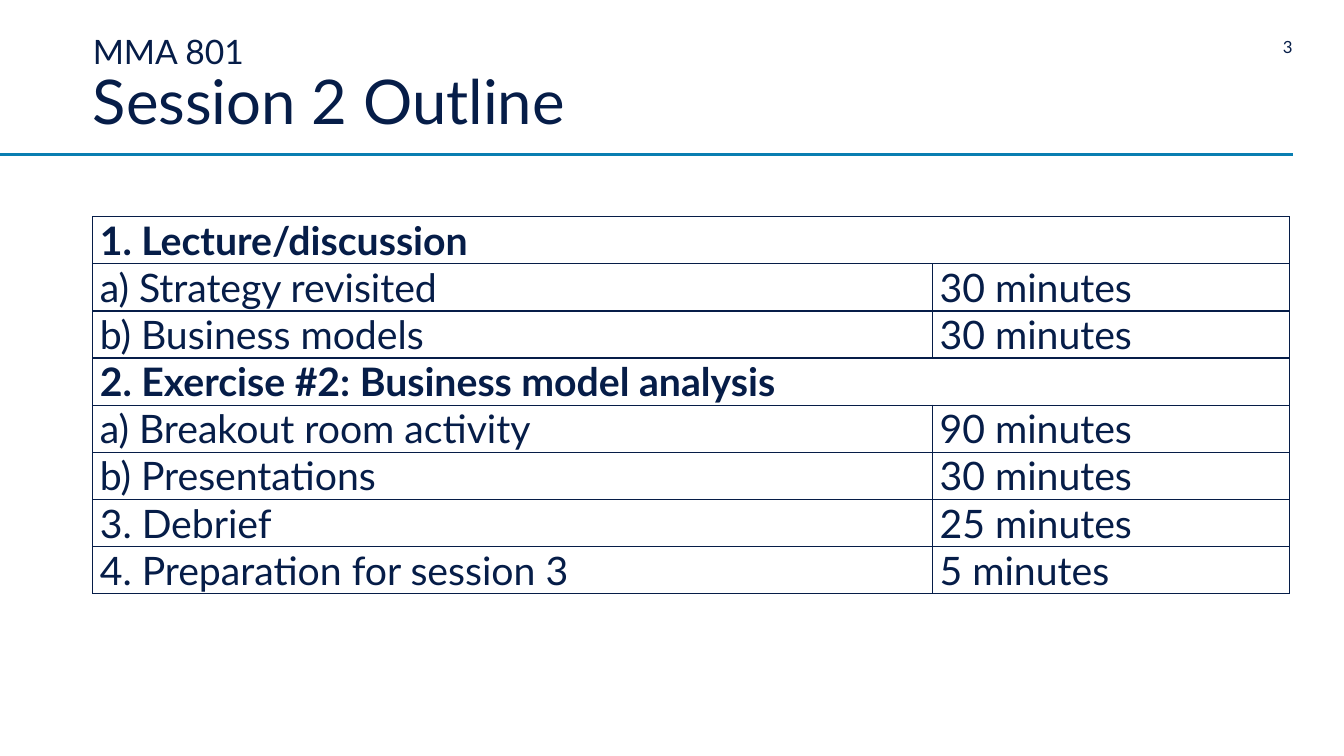
from dataclasses import dataclass

from lxml import etree
from pptx import Presentation
from pptx.dml.color import RGBColor
from pptx.enum.shapes import MSO_CONNECTOR
from pptx.enum.text import MSO_ANCHOR, MSO_AUTO_SIZE, PP_ALIGN
from pptx.oxml.ns import qn
from pptx.util import Inches, Pt

STRAIGHT = MSO_CONNECTOR.STRAIGHT
BOTTOM = MSO_ANCHOR.BOTTOM
NO_AUTOFIT = MSO_AUTO_SIZE.NONE
RIGHT = PP_ALIGN.RIGHT
TITLE_ONLY = 5


@dataclass(frozen=True)
class Theme:
    font: str = "Lato"
    ink: str = "061D48"
    accent: str = "097EB1"
    title_size: int = 44
    course_size: int = 24
    table_size: int = 28
    number_size: int = 12
    rule_width: float = 2.25
    border_width: float = 1


THEME = Theme()
SLIDE_WIDTH, SLIDE_HEIGHT = 13.33, 7.5
LEFT_EDGE, RIGHT_EDGE = 0.92, 12.82
RULE_TOP = 1.53
COLUMN_WIDTHS = (8.33, 3.54)
TABLE_TOP, TABLE_HEIGHT = 2.15, 3.73
CELL_MARGIN = 0.07

# A row without a duration is a heading across both columns.
OUTLINE = (
    ("1. Lecture/discussion", None),
    ("a) Strategy revisited", "30 minutes"),
    ("b) Business models", "30 minutes"),
    ("2. Exercise #2: Business model analysis", None),
    ("a) Breakout room activity", "90 minutes"),
    ("b) Presentations", "30 minutes"),
    ("3. Debrief", "25 minutes"),
    ("4. Preparation for session 3", "5 minutes"),
)


def style_font(font, size, bold=False):
    font.name = THEME.font
    font.size = Pt(size)
    font.bold = bold
    font.color.rgb = RGBColor.from_string(THEME.ink)


def clear_margins(frame):
    frame.margin_left = frame.margin_right = 0
    frame.margin_top = frame.margin_bottom = 0


def add_title(page, course, heading):
    title = page.shapes.title
    title.left, title.top = Inches(LEFT_EDGE), Inches(0.34)
    title.width, title.height = Inches(10.28), Inches(1.03)
    frame = title.text_frame
    clear_margins(frame)
    frame.word_wrap = True
    frame.auto_size = NO_AUTOFIT
    frame.vertical_anchor = BOTTOM
    para = frame.paragraphs[0]
    para.alignment = PP_ALIGN.LEFT
    para.line_spacing = 0.9
    style_font(para.font, THEME.course_size)
    para.add_run().text = course
    para.add_line_break()
    span = para.add_run()
    span.text = heading
    span.font.size = Pt(THEME.title_size)


def add_rule(page):
    rule = page.shapes.add_connector(
        STRAIGHT, 0, Inches(RULE_TOP), Inches(RIGHT_EDGE), Inches(RULE_TOP))
    rule.line.color.rgb = RGBColor.from_string(THEME.accent)
    rule.line.width = Pt(THEME.rule_width)
    etree.SubElement(rule._element.spPr, qn("a:effectLst"))


def add_page_number(page, number):
    width = 0.41
    box = page.shapes.add_textbox(
        Inches(RIGHT_EDGE - width), Inches(0.36), Inches(width), Inches(0.2))
    frame = box.text_frame
    clear_margins(frame)
    frame.word_wrap = True
    para = frame.paragraphs[0]
    para.text = str(number)
    para.alignment = RIGHT
    style_font(para.font, THEME.number_size)


def add_borders(cell):
    properties = cell._tc.get_or_add_tcPr()
    for side in ("a:lnL", "a:lnR", "a:lnT", "a:lnB"):
        line = etree.SubElement(
            properties, qn(side), w=str(Pt(THEME.border_width)))
        fill = etree.SubElement(line, qn("a:solidFill"))
        etree.SubElement(fill, qn("a:srgbClr"), val=THEME.ink)


def fill_cell(cell, text, bold):
    add_borders(cell)
    cell.fill.background()
    cell.margin_left = cell.margin_right = Inches(CELL_MARGIN)
    cell.margin_top = cell.margin_bottom = 0
    para = cell.text_frame.paragraphs[0]
    para.text = text
    style_font(para.font, THEME.table_size, bold)


def add_outline(page, outline):
    table = page.shapes.add_table(
        len(outline), len(COLUMN_WIDTHS), Inches(LEFT_EDGE), Inches(TABLE_TOP),
        Inches(sum(COLUMN_WIDTHS)), Inches(TABLE_HEIGHT)).table
    table.first_row = table.horz_banding = False
    for column, width in zip(table.columns, COLUMN_WIDTHS):
        column.width = Inches(width)
    for row, (topic, duration) in enumerate(outline):
        is_heading = duration is None
        topic_cell, duration_cell = table.cell(row, 0), table.cell(row, 1)
        fill_cell(topic_cell, topic, is_heading)
        fill_cell(duration_cell, duration or "", is_heading)
        if is_heading:
            topic_cell.merge(duration_cell)


def main():
    deck = Presentation()
    deck.slide_width = Inches(SLIDE_WIDTH)
    deck.slide_height = Inches(SLIDE_HEIGHT)
    page = deck.slides.add_slide(deck.slide_layouts[TITLE_ONLY])
    add_rule(page)
    add_page_number(page, 3)
    add_title(page, "MMA 801", "Session 2 Outline")
    add_outline(page, OUTLINE)
    deck.save("out.pptx")


if __name__ == "__main__":
    main()
